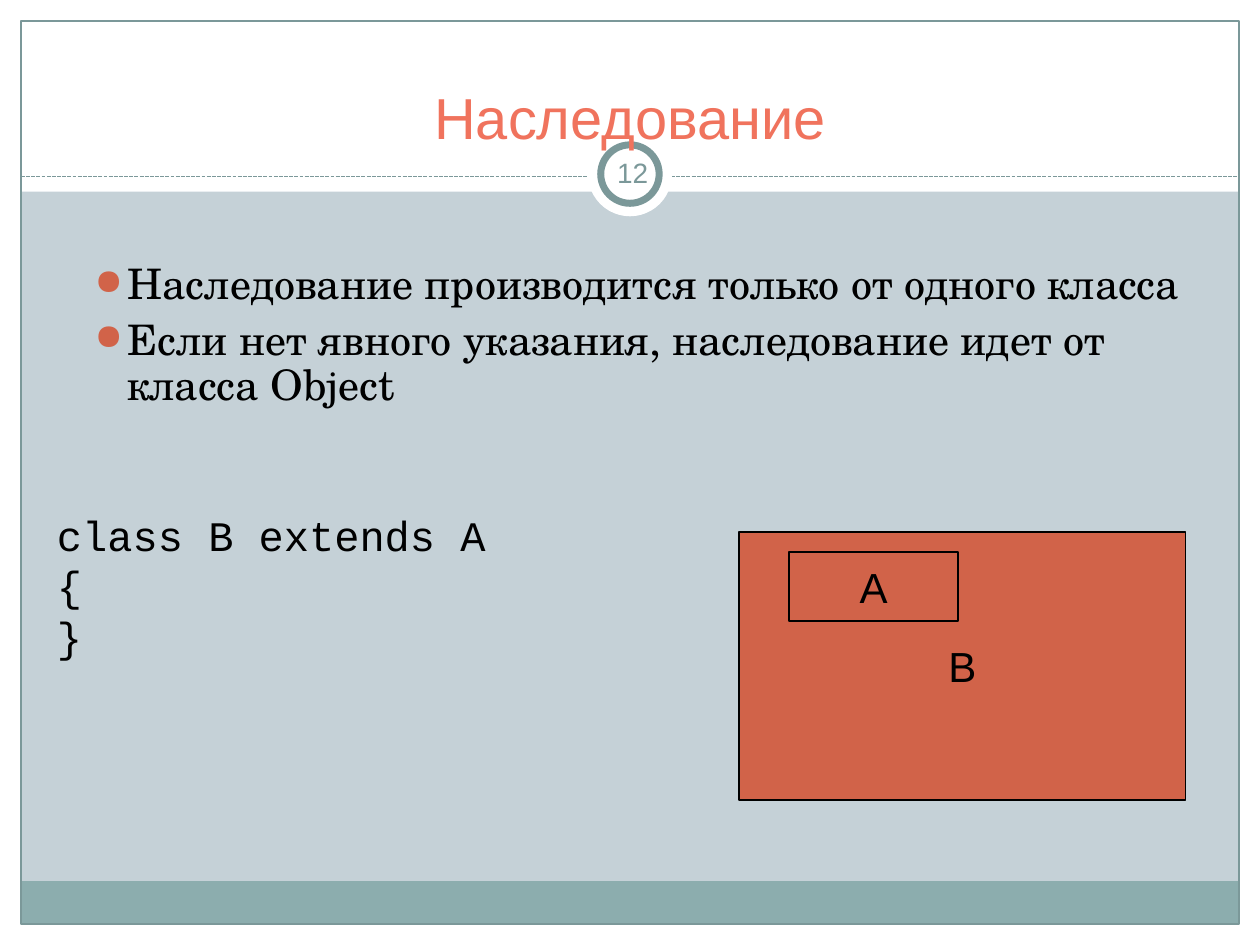
from dataclasses import dataclass
from typing import Optional

import pptx
import pptx.dml.color
import pptx.enum.dml
import pptx.enum.shapes
import pptx.enum.text
import pptx.oxml
import pptx.oxml.ns
import pptx.util

Pt = pptx.util.Pt
ALIGN = pptx.enum.text.PP_ALIGN
ANCHOR = pptx.enum.text.MSO_ANCHOR
AUTO_SIZE = pptx.enum.text.MSO_AUTO_SIZE
SHAPE = pptx.enum.shapes.MSO_SHAPE

COLORS = {
    "background": "C5D1D7",
    "white": "FFFFFF",
    "band": "8CADAE",
    "frame": "7B9899",
    "title": "F0735D",
    "accent": "D16349",
    "black": "000000",
}
WIDTH, HEIGHT, MARGIN = 720, 540, 12


@dataclass
class Box:
    left: float
    top: float
    width: float
    height: float
    fill: Optional[str] = None
    line: Optional[str] = None
    line_width: float = 0.75
    kind: SHAPE = SHAPE.RECTANGLE
    text: str = ""

    def position(self) -> list:
        return [Pt(v) for v in (self.left, self.top, self.width, self.height)]


@dataclass
class TextStyle:
    font: str
    size: float
    color: str
    align: ALIGN = ALIGN.LEFT
    anchor: ANCHOR = ANCHOR.TOP
    wrap: bool = True
    auto_size: AUTO_SIZE = AUTO_SIZE.NONE
    inset: float = 7.2


FRAME = [
    Box(0, 528, WIDTH, MARGIN, "white"),
    Box(0, 0, WIDTH, 109.5, "white"),
    Box(0, 0, MARGIN, HEIGHT, "white"),
    Box(WIDTH - MARGIN, 0, MARGIN, HEIGHT, "white"),
    Box(MARGIN, 503.5, WIDTH - 2 * MARGIN, 24.5, "band"),
    Box(MARGIN, MARGIN, WIDTH - 2 * MARGIN, 516, line="frame"),
]
BADGE = [
    Box(336, 75.6, 48, 48, "white", kind=SHAPE.OVAL),
    Box(343.3, 82.8, 33.4, 33.4, "white", "frame", 4, SHAPE.OVAL),
]
CLASS_BOXES = [
    Box(422.5, 304, 255, 153, "accent", "black", 1, text="B"),
    Box(451, 315.5, 96.5, 39.5, "accent", "black", 1, text="A"),
]
TITLE_STYLE = TextStyle("Arial", 33, "title", ALIGN.CENTER, ANCHOR.BOTTOM)
NUMBER_STYLE = TextStyle("Arial", 16, "frame", ALIGN.CENTER, ANCHOR.MIDDLE, inset=3.6)
BODY_STYLE = TextStyle("TeX Gyre Schola", 24, "black")
CODE_STYLE = TextStyle("Courier New", 24, "black", wrap=False,
                       auto_size=AUTO_SIZE.SHAPE_TO_FIT_TEXT)
CLASS_STYLE = TextStyle("Arial", 24, "black", ALIGN.CENTER, ANCHOR.MIDDLE, wrap=False)


def rgb(name: str) -> pptx.dml.color.RGBColor:
    return pptx.dml.color.RGBColor.from_string(COLORS[name])


def set_attributes(target, values: dict) -> None:
    for name, value in values.items():
        setattr(target, name, value)


def add_bullet(paragraph) -> None:
    properties = paragraph._p.get_or_add_pPr()
    properties.set("marL", str(Pt(18.8)))
    properties.set("indent", str(-Pt(18.8)))
    namespace = pptx.oxml.ns.nsdecls("a")
    for markup in (
        f'<a:buClr {namespace}><a:srgbClr val="{COLORS["accent"]}"/></a:buClr>',
        f'<a:buSzPct {namespace} val="85000"/>',
        f'<a:buChar {namespace} char="●"/>',
    ):
        properties.append(pptx.oxml.parse_xml(markup))


def write_text(shape, lines: list[str], style: TextStyle, bullets: bool = False) -> None:
    frame = shape.text_frame
    set_attributes(frame, {
        "text": "\n".join(lines),
        "word_wrap": style.wrap,
        "auto_size": style.auto_size,
        "vertical_anchor": style.anchor,
        "margin_left": Pt(style.inset),
        "margin_right": Pt(style.inset),
        "margin_top": Pt(3.6),
        "margin_bottom": Pt(3.6),
    })
    for index, paragraph in enumerate(frame.paragraphs):
        paragraph.alignment = style.align
        if bullets:
            paragraph.line_spacing = 0.9
            paragraph.space_before = Pt(6 if index else 0)
            add_bullet(paragraph)
        for run in paragraph.runs:
            set_attributes(run.font, {"name": style.font, "size": Pt(style.size)})
            run.font.color.rgb = rgb(style.color)


def add_box(slide, box: Box) -> None:
    shape = slide.shapes.add_shape(box.kind, *box.position())
    shape.shadow.inherit = False
    if box.fill:
        shape.fill.solid()
        shape.fill.fore_color.rgb = rgb(box.fill)
    else:
        shape.fill.background()
    if box.line:
        shape.line.color.rgb = rgb(box.line)
        shape.line.width = Pt(box.line_width)
    else:
        shape.line.fill.background()
    if box.text:
        write_text(shape, [box.text], CLASS_STYLE)


def add_text(slide, box: Box, lines: list[str], style: TextStyle,
             bullets: bool = False) -> None:
    write_text(slide.shapes.add_textbox(*box.position()), lines, style, bullets)


def add_divider(slide, top: float) -> None:
    divider = slide.shapes.add_connector(
        pptx.enum.shapes.MSO_CONNECTOR.STRAIGHT,
        Pt(MARGIN), Pt(top), Pt(WIDTH - MARGIN), Pt(top))
    divider.line.color.rgb = rgb("frame")
    divider.line.width = Pt(0.75)
    divider.line.dash_style = pptx.enum.dml.MSO_LINE.SQUARE_DOT
    divider._element.spPr.append(pptx.oxml.parse_xml(
        f'<a:effectLst {pptx.oxml.ns.nsdecls("a")}/>'))


def place_title(slide, text: str) -> None:
    """Fill the title placeholder and bring it in front of the badge."""
    title = slide.shapes.title
    position = Box(54, 0, 612, 90).position()
    set_attributes(title, dict(zip(("left", "top", "width", "height"), position)))
    write_text(title, [text], TITLE_STYLE)
    title.element.getparent().append(title.element)


def main() -> None:
    presentation = pptx.Presentation()
    set_attributes(presentation, {"slide_width": Pt(WIDTH), "slide_height": Pt(HEIGHT)})
    slide = presentation.slides.add_slide(presentation.slide_layouts[5])
    slide.background.fill.solid()
    slide.background.fill.fore_color.rgb = rgb("background")

    for box in FRAME:
        add_box(slide, box)
    add_divider(slide, 100.8)
    for box in BADGE:
        add_box(slide, box)
    place_title(slide, "Наследование")
    add_text(slide, Box(343.5, 81, 36, 34.5), ["12"], NUMBER_STYLE)
    add_text(slide, Box(47, 147, 648, 93.5), [
        "Наследование производится только от одного класса",
        "Если нет явного указания, наследование идет от класса Object",
    ], BODY_STYLE, bullets=True)
    add_text(slide, Box(25.5, 287.5, 259, 93.5), ["class B extends A", "{", "}"], CODE_STYLE)
    for box in CLASS_BOXES:
        add_box(slide, box)
    presentation.save("out.pptx")


if __name__ == "__main__":
    main()
